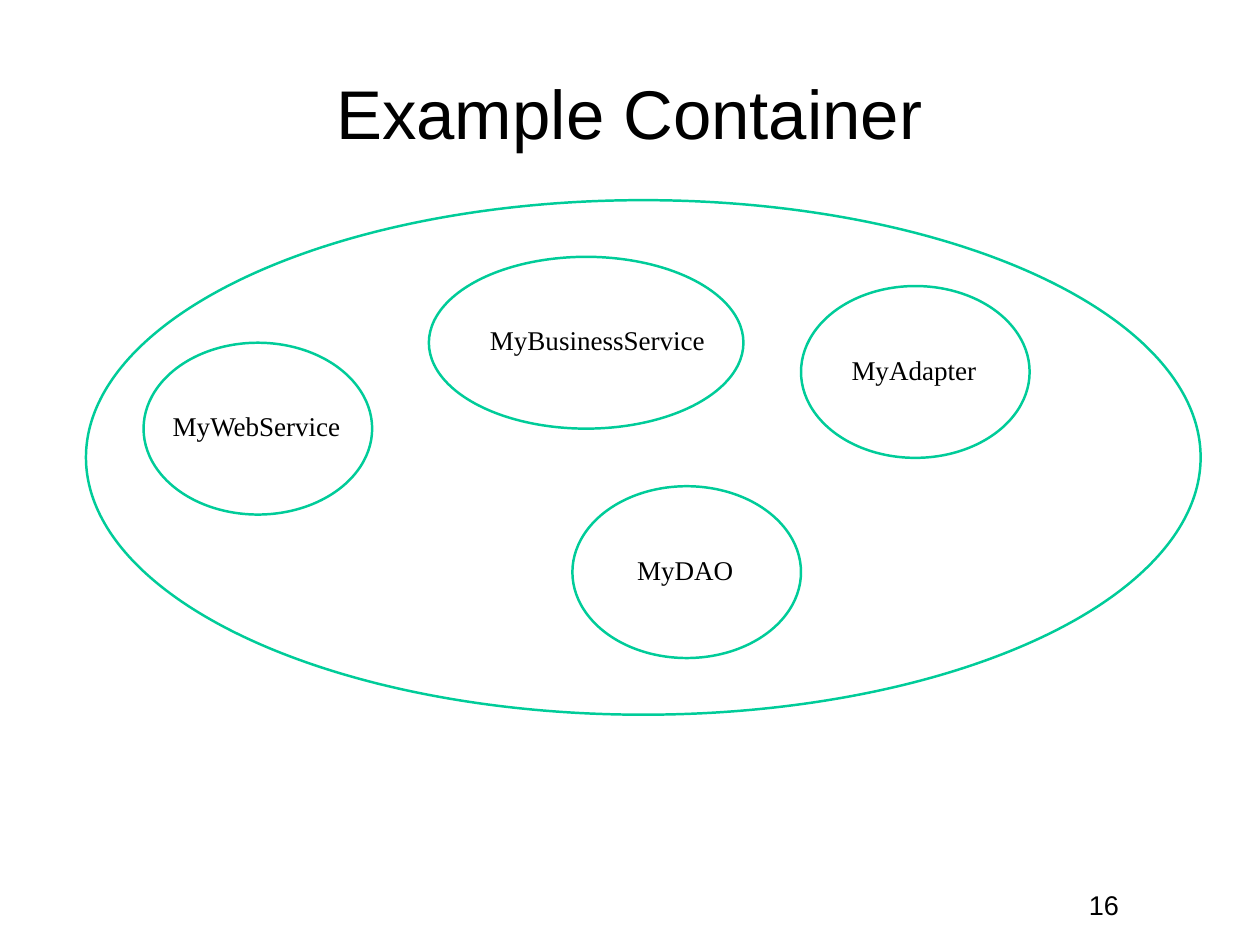
from pptx import Presentation
from pptx.dml.color import RGBColor
from pptx.enum.shapes import MSO_SHAPE
from pptx.enum.text import MSO_ANCHOR, PP_ALIGN
from pptx.util import Inches, Pt

OVAL = MSO_SHAPE.OVAL
TOP, MIDDLE = MSO_ANCHOR.TOP, MSO_ANCHOR.MIDDLE
LEFT, CENTER = PP_ALIGN.LEFT, PP_ALIGN.CENTER
BLACK = RGBColor(0x00, 0x00, 0x00)
WHITE = RGBColor(0xFF, 0xFF, 0xFF)
GREEN = RGBColor(0x00, 0xCC, 0x99)

BEAN_HEIGHT = 1.94
LABEL_HEIGHT = 0.48
BEANS = [
    ("MyWebService", 1.62, 3.87, 2.58, 1.89, 2.04),
    ("MyBusinessService", 4.84, 2.9, 3.55, 5.47, 2.57),
    ("MyDAO", 6.46, 5.49, 2.58, 7.13, 1.23),
    ("MyAdapter", 9.04, 3.23, 2.58, 9.55, 1.55),
]


def add_ellipse(shapes, x, y, w, h):
    sp = shapes.add_shape(OVAL, Inches(x), Inches(y), Inches(w), Inches(h))
    sp.shadow.inherit = False
    sp.fill.solid()
    sp.fill.fore_color.rgb = WHITE
    sp.line.color.rgb = GREEN
    sp.line.width = Pt(2)


def add_text(shapes, text, x, y, w, h, size=22, font="Arial",
             align=LEFT, anchor=TOP, inset=0, wrap=True):
    tf = shapes.add_textbox(Inches(x), Inches(y), Inches(w), Inches(h)).text_frame
    tf.word_wrap = wrap
    tf.vertical_anchor = anchor
    tf.margin_left = tf.margin_right = Inches(inset)
    tf.margin_top = tf.margin_bottom = Inches(inset)
    p = tf.paragraphs[0]
    p.text = text
    p.alignment = align
    p.line_spacing = 0.93
    p.font.size = Pt(size)
    p.font.name = font
    p.font.color.rgb = BLACK


def add_bean(s, name, x, y, w, label_x, label_w):
    group = s.shapes.add_group_shape()
    add_ellipse(group.shapes, x, y, w, BEAN_HEIGHT)
    label_y = y + (BEAN_HEIGHT - LABEL_HEIGHT) / 2
    add_text(group.shapes, name, label_x, label_y, label_w, LABEL_HEIGHT,
             font="Times New Roman", inset=0.06, wrap=False)


def main():
    prs = Presentation()
    prs.slide_width, prs.slide_height = Inches(14.22), Inches(10.67)
    s = prs.slides.add_slide(prs.slide_layouts[6])
    add_ellipse(s.shapes, 0.97, 2.26, 12.58, 5.81)
    add_text(s.shapes, "Example Container", 0.71, 0.13, 12.79, 2.37,
             size=56, align=CENTER, anchor=MIDDLE)
    add_text(s.shapes, "16", 12.29, 10.06, 0.69, 0.35)
    for bean in BEANS:
        add_bean(s, *bean)
    prs.save("out.pptx")


main()
